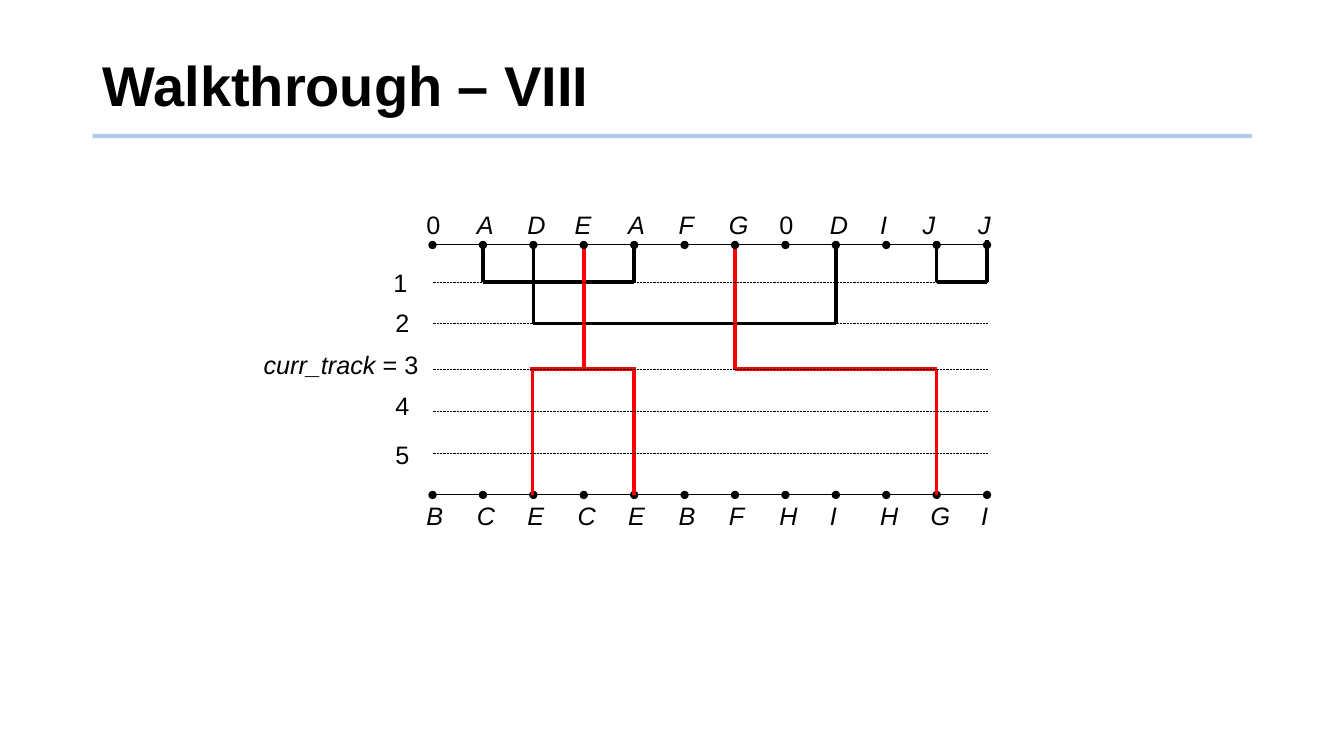
from dataclasses import dataclass

from lxml import etree
from pptx import Presentation
from pptx import util as u
from pptx.dml.color import RGBColor
from pptx.enum import dml, shapes, text
from pptx.oxml.ns import qn

INK = {"black": "000000", "red": "FF0000", "rule": "5B9BD5"}
FONT = "Arial"

# Channel geometry in inches
LEFT, STEP, COLS = 4.29, 0.5, 12
TOP, BASE = 2.43, 4.91
START = 2.41
TRACKS = [2.8, 3.21, 3.66, 4.08, 4.5]


@dataclass
class Wire:
    """A segment between two (column, height) points."""
    a: tuple[float, float]
    b: tuple[float, float]
    ink: str = "black"


@dataclass
class Label:
    runs: list[tuple[str, bool]]  # text, italic
    left: float
    top: float
    width: float = 0.42
    height: float = 0.41
    size: float = 18
    bold: bool = False
    inset: float = 0.11
    align: text.PP_ALIGN = text.PP_ALIGN.LEFT


def col_x(col: float) -> float:
    return LEFT + STEP * col


def add_line(slide, x1: float, y1: float, x2: float, y2: float, width: float,
             ink: str = "black"):
    line = slide.shapes.add_connector(
        shapes.MSO_CONNECTOR.STRAIGHT,
        u.Inches(x1), u.Inches(y1), u.Inches(x2), u.Inches(y2))
    line.line.width = u.Pt(width)
    line.line.color.rgb = RGBColor.from_string(INK[ink])
    etree.SubElement(line._element.spPr, qn("a:effectLst"))
    return line


def add_dot(line, end: str) -> None:
    etree.SubElement(line.line._get_or_add_ln(), qn(f"a:{end}"), type="oval")


def add_label(slide, label: Label) -> None:
    box = slide.shapes.add_textbox(
        u.Inches(label.left), u.Inches(label.top),
        u.Inches(label.width), u.Inches(label.height))
    frame = box.text_frame
    frame.word_wrap = True
    frame.vertical_anchor = text.MSO_ANCHOR.MIDDLE
    frame.margin_left = frame.margin_right = u.Inches(label.inset)
    para = frame.paragraphs[0]
    para.alignment = label.align
    for words, slant in label.runs:
        run = para.add_run()
        run.text = words
        run.font.italic = slant
    font = para.font
    font.name, font.size, font.bold = FONT, u.Pt(label.size), label.bold
    font.color.rgb = RGBColor.from_string(INK["black"])


def add_pins(slide, y: float, names: str, top: float,
             shifts: dict[int, float]) -> None:
    for col in range(COLS - 1):
        edge = add_line(slide, col_x(col), y, col_x(col + 1), y, 0.75)
        if col == 0:
            add_dot(edge, "headEnd")
        add_dot(edge, "tailEnd")
    for col, name in enumerate(names):
        left = col_x(col) - 0.17 + shifts.get(col, 0)
        add_label(slide, Label([(name, name.isalpha())], left, top))


def main() -> None:
    deck = Presentation()
    deck.slide_width, deck.slide_height = u.Inches(13.33), u.Inches(7.5)
    slide = deck.slides.add_slide(deck.slide_layouts[6])

    # Title and its half-transparent rule
    rule = add_line(slide, 0.92, 1.35, 12.42, 1.35, 3, "rule")
    tint = rule._element.spPr.find(".//" + qn("a:srgbClr"))
    etree.SubElement(tint, qn("a:alpha"), val="50000")
    add_label(slide, Label([("Walkthrough – VIII", False)], 0.92, 0.28,
                           11.5, 1.1, 40, True, 0.1))

    # Bottom pins
    add_pins(slide, BASE, "BCECEBFHIHGI", BASE, {})

    # Routed nets
    one, two, three = TRACKS[:3]
    wires = [
        # A
        Wire((1, START), (1, one)),
        Wire((1, one), (4, one)),
        Wire((4, START), (4, one)),
        # D
        Wire((2, START), (2, two)),
        Wire((8, START), (8, two)),
        Wire((2, two), (8, two)),
        # E
        Wire((3, START), (3, three), "red"),
        Wire((1.98, three), (1.98, BASE), "red"),
        Wire((4, three), (4, BASE), "red"),
        Wire((1.94, three), (4.04, three), "red"),
        # G
        Wire((6, START), (6, three), "red"),
        Wire((10, three), (10, BASE), "red"),
        Wire((6, three), (10, three), "red"),
        # J
        Wire((10, START), (10, one)),
        Wire((11, 2.38), (11, one)),
        Wire((10, one), (11, one)),
    ]
    for wire in wires:
        add_line(slide, col_x(wire.a[0]), wire.a[1],
                 col_x(wire.b[0]), wire.b[1], 2.5, wire.ink)

    # Dotted tracks
    for y in TRACKS:
        track = add_line(slide, LEFT, y, col_x(COLS - 1), y, 0.5)
        track.line.dash_style = dml.MSO_LINE.ROUND_DOT

    # Track numbers, set against their right edge
    right = text.PP_ALIGN.RIGHT
    marks = [
        Label([("1", False)], 3.45, 2.6, 0.7, align=right),
        Label([("2", False)], 3.47, 2.99, 0.7, align=right),
        Label([("curr_track", True), (" = 3", False)], 2.36, 3.41, 1.9,
              align=right),
        Label([("4", False)], 3.47, 3.82, 0.7, align=right),
        Label([("5", False)], 3.47, 4.3, 0.7, align=right),
    ]
    for mark in marks:
        add_label(slide, mark)

    # Top pins
    add_pins(slide, TOP, "0ADEAFG0DIJJ", 2.02, {3: -0.03, 10: -0.08, 11: -0.03})

    deck.save("out.pptx")


if __name__ == "__main__":
    main()
